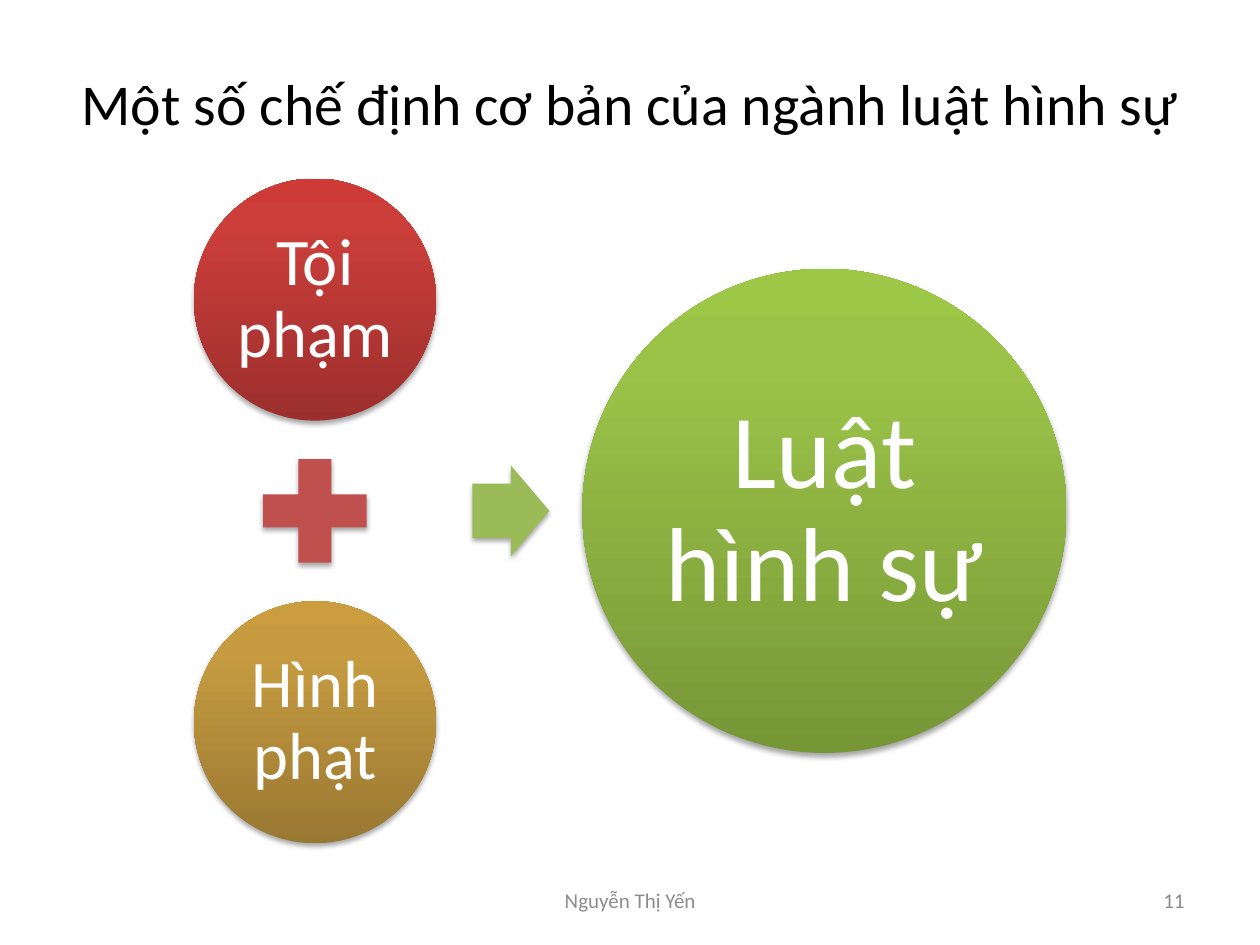
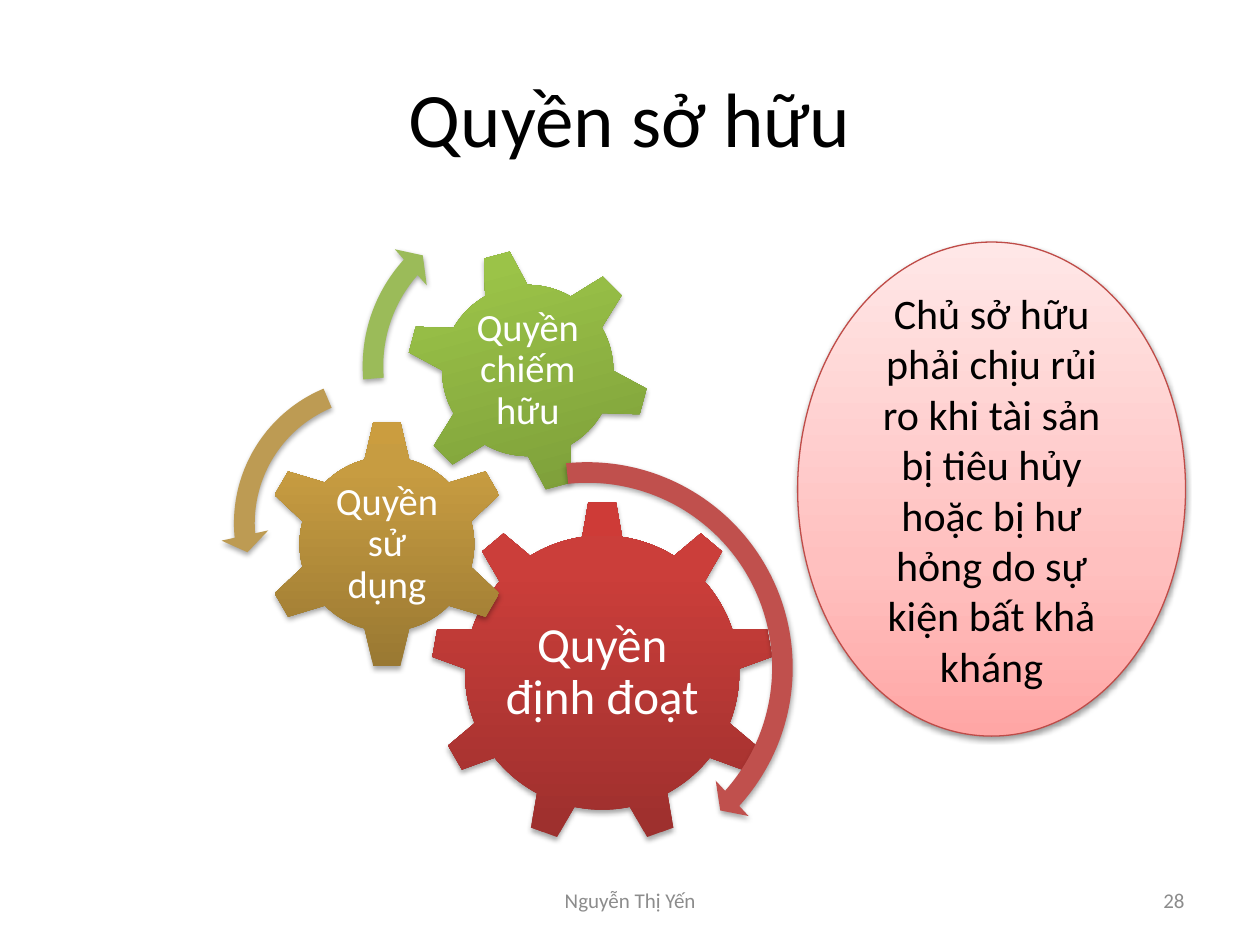
from pptx import Presentation
from pptx.dml.color import RGBColor as RGB
from pptx.enum.shapes import MSO_SHAPE as SHAPE
from pptx.enum.text import MSO_ANCHOR as ANCHOR, MSO_AUTO_SIZE as AUTO, PP_ALIGN as ALIGN
from pptx.oxml import parse_xml
from pptx.oxml.ns import nsdecls
from pptx.util import Cm, Pt

THEME = {
    "font": "Calibri",
    "ink": "000000", "white": "FFFFFF", "grey": "8C8C8C",
    "red": "C0504D", "gold": "BD9B53", "green": "9BBB59", "rim": "BF4C48",
    "grad": {
        "red": [(0, "9C2F2D"), (80, "CB3E3A"), (100, "CE3B37")],
        "gold": [(0, "997832"), (80, "C79C41"), (100, "CB9D3F")],
        "green": [(0, "779737"), (80, "9BC348"), (100, "9DC746")],
        "pink": [(0, "FFA6A5"), (35, "FFC0BF"), (100, "FFE7E7")],
    },
    "size": {"long": 33, "title": 44, "part": 38, "whole": 60,
             "main": 28, "gear": 22, "note": 24, "foot": 12},
}

AUTHOR = "Nguyễn Thị Yến"

LAW = {
    "title": "Một số chế định cơ bản của ngành luật hình sự",
    "size": "long", "height": 2.62, "page": "11",
    "parts": [("Tội phạm", "red"), ("Hình phạt", "gold")],
    "whole": ("Luật hình sự", "green"),
}

OWNER = {
    "title": "Quyền sở hữu",
    "size": "title", "height": 3.18, "page": "28",
    "gears": [
        ("Quyền định đoạt", SHAPE.GEAR_9, "red", "main", (12.14, 13.56), 6.91, (4.14, 3.56), 0),
        ("Quyền sử dụng", SHAPE.GEAR_6, "gold", "gear", (7.8, 10.97), 5.03, (2.49, 2.49), 0),
        ("Quyền chiếm hữu", SHAPE.GEAR_6, "green", "gear", (10.64, 7.47), 4.93, (2.77, 2.77), 345),
    ],
    "turns": [
        (SHAPE.CIRCULAR_ARROW, "red", (11.84, 13.46), 8.84,
         0.047, (4.98, 42.06, 264.09), 0.055),
        (SHAPE.LEFT_CIRCULAR_ARROW, "gold", (7.66, 10.55), 6.43,
         0.065, (7.17, 174.82, 247.3), 0.075),
        (SHAPE.CIRCULAR_ARROW, "green", (10.5, 7.38), 6.93,
         0.06, (6.57, 221.9, 175.14), 0.07),
    ],
    "note": "Chủ sở hữu phải chịu rủi ro khi tài sản bị tiêu hủy "
            "hoặc bị hư hỏng do sự kiện bất khả kháng",
}


def place(mid, size):
    (x, y), (w, h) = mid, size
    return Cm(x - w / 2), Cm(y - h / 2), Cm(w), Cm(h)


def write(shape, text, size, color, align=ALIGN.CENTER, pad=None, space=None):
    frame = shape.text_frame
    look = {"word_wrap": True, "auto_size": AUTO.NONE, "vertical_anchor": ANCHOR.MIDDLE}
    if pad is not None:
        look |= {f"margin_{side}": Cm(pad) for side in ("left", "right", "top", "bottom")}
    for key, val in look.items():
        setattr(frame, key, val)
    para = frame.paragraphs[0]
    para.text = text
    for key, val in {"alignment": align, "line_spacing": space}.items():
        setattr(para, key, val)
    font = para.runs[0].font
    for key, val in {"name": THEME["font"], "size": Pt(THEME["size"][size])}.items():
        setattr(font, key, val)
    font.color.rgb = RGB.from_string(THEME[color])


def blend(shape, name):
    stops = "".join(f'<a:gs pos="{pos * 1000}"><a:srgbClr val="{tone}"/></a:gs>'
                    for pos, tone in THEME["grad"][name])
    fill = parse_xml(f'<a:gradFill {nsdecls("a")} rotWithShape="1"><a:gsLst>{stops}</a:gsLst>'
                     '<a:lin ang="16200000" scaled="0"/></a:gradFill>')
    shape._element.spPr.find("{*}prstGeom").addnext(fill)


def shade(shape, alpha, dist):
    shape._element.spPr.append(parse_xml(
        f'<a:effectLst {nsdecls("a")}><a:outerShdw blurRad="{Pt(3.1)}" dist="{Pt(dist)}" '
        f'dir="5400000" rotWithShape="0"><a:srgbClr val="000000"><a:alpha val="{alpha * 1000}"/>'
        '</a:srgbClr></a:outerShdw></a:effectLst>'))


def draw(slide, kind, mid, size, flat=None, grad=None, rim=None, alpha=35, dist=1.8):
    shape = slide.shapes.add_shape(kind, *place(mid, size))
    if grad:
        blend(shape, grad)
    else:
        shape.fill.solid()
        shape.fill.fore_color.rgb = RGB.from_string(THEME[flat])
    if rim:
        shape.line.color.rgb = RGB.from_string(THEME[rim])
        shape.line.width = Pt(0.75)
    else:
        shape.line.fill.background()
    shade(shape, alpha, dist)
    return shape


def start(deck, data):
    slide = deck.slides.add_slide(deck.slide_layouts[5])
    title = slide.shapes.title
    spot = {"left": 1.27, "top": 0.76, "width": 22.86, "height": data["height"]}
    for key, val in spot.items():
        setattr(title, key, Cm(val))
    write(title, data["title"], data["size"], "ink")
    return slide


def finish(slide, page):
    for text, left, width, align in ((AUTHOR, 8.68, 8.05, ALIGN.CENTER),
                                     (page, 18.2, 5.93, ALIGN.RIGHT)):
        box = slide.shapes.add_textbox(Cm(left), Cm(17.65), Cm(width), Cm(1.01))
        write(box, text, "foot", "grey", align)


def law(deck):
    slide = start(deck, LAW)
    col, row, disc, plus, gap = 6.35, 10.3, 4.88, 2.84, 0.4
    step = disc / 2 + gap + plus / 2
    for (text, tone), side in zip(LAW["parts"], (-1, 1)):
        part = draw(slide, SHAPE.OVAL, (col, row + side * step), (disc, disc), grad=tone)
        write(part, text, "part", "white", pad=0.13, space=0.9)
    draw(slide, SHAPE.MATH_PLUS, (col, row), (plus, plus), "red")
    arrow = draw(slide, SHAPE.RIGHT_ARROW, (10.3, row), (1.55, 1.83), "green")
    arrow.adjustments[0] = 0.6
    text, tone = LAW["whole"]
    whole = draw(slide, SHAPE.OVAL, (16.62, row), (2 * disc, 2 * disc), grad=tone)
    write(whole, text, "whole", "white", pad=0.2, space=0.9)
    finish(slide, LAW["page"])


def owner(deck):
    slide = start(deck, OWNER)
    for text, kind, tone, size, mid, wide, room, turn in OWNER["gears"]:
        gear = draw(slide, kind, mid, (wide, wide), grad=tone)
        gear.rotation = turn
        label = slide.shapes.add_textbox(*place(mid, room))
        write(label, text, size, "white", pad=0.08, space=0.9)
    for kind, tone, mid, wide, thick, angles, head in OWNER["turns"]:
        arrow = draw(slide, kind, mid, (wide, wide), tone)
        for i, val in enumerate([thick, *(deg * 0.6 for deg in angles), head]):
            arrow.adjustments[i] = val
    finish(slide, OWNER["page"])
    note = draw(slide, SHAPE.OVAL, (19.99, 9.86), (7.82, 9.96),
                grad="pink", rim="rim", alpha=38, dist=1.6)
    write(note, OWNER["note"], "note", "ink")


def main():
    deck = Presentation()
    deck.slide_width, deck.slide_height = Cm(25.4), Cm(19.05)
    law(deck)
    owner(deck)
    deck.save("out.pptx")


if __name__ == "__main__":
    main()
